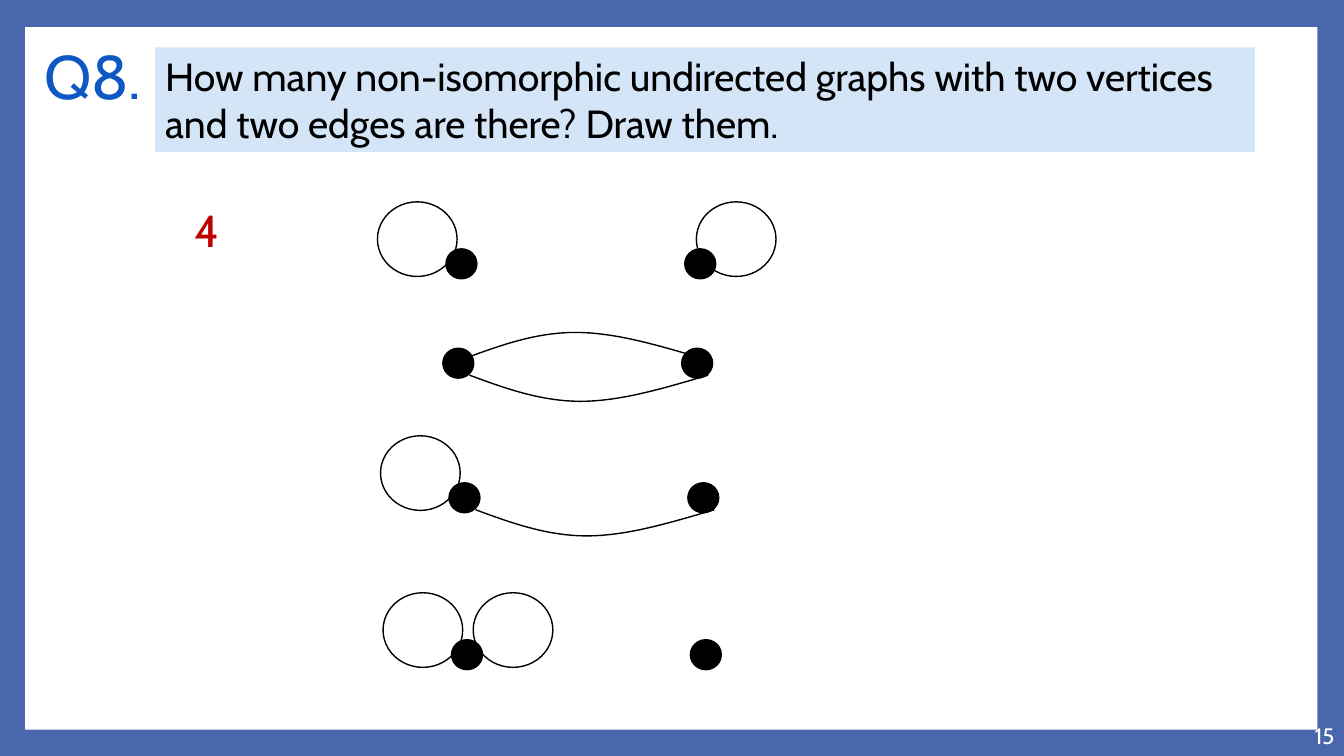
import pptx
import pptx.util
import pptx.dml.color
import pptx.enum.shapes
import pptx.enum.text

Pt = pptx.util.Pt
RGBColor = pptx.dml.color.RGBColor
MSO_SHAPE = pptx.enum.shapes.MSO_SHAPE
PP_ALIGN = pptx.enum.text.PP_ALIGN
MSO_ANCHOR = pptx.enum.text.MSO_ANCHOR

FRAME_BLUE = RGBColor(0x4A, 0x66, 0xAC)
TITLE_BLUE = RGBColor(0x0E, 0x58, 0xC4)
QUESTION_BLUE = RGBColor(0xD4, 0xE5, 0xF7)
ANSWER_RED = RGBColor(0xC0, 0x00, 0x00)
WHITE = RGBColor(0xFF, 0xFF, 0xFF)
BLACK = RGBColor(0x00, 0x00, 0x00)

FONT = "Cabin"
VERTEX_SIZE = (21.6, 20.9)
VERTEX_GAP = 170.6
LOOP_SIZE = (56.9, 53.3)
LOOP_RISE = 33.8
EDGE_BULGE = 18.7
CURVE_STEPS = 16


def style(shape, fill=None, line=None, weight=1):
    shape.shadow.inherit = False
    if fill is None:
        shape.fill.background()
    else:
        shape.fill.solid()
        shape.fill.fore_color.rgb = fill
    if line is None:
        shape.line.fill.background()
    else:
        shape.line.color.rgb = line
        shape.line.width = Pt(weight)


def add_preset(slide, kind, box, **look):
    shape = slide.shapes.add_shape(kind, *map(Pt, box))
    style(shape, **look)
    return shape


def write(shape, text, size, color, align=PP_ALIGN.LEFT, anchor=MSO_ANCHOR.TOP):
    frame = shape.text_frame
    frame.text = text
    frame.word_wrap = True
    frame.vertical_anchor = anchor
    paragraph = frame.paragraphs[0]
    paragraph.alignment = align
    font = paragraph.runs[0].font
    font.name, font.size, font.color.rgb = FONT, Pt(size), color
    return paragraph


def add_label(slide, box, text, size, color, **layout):
    write(slide.shapes.add_textbox(*map(Pt, box)), text, size, color, **layout)


def add_frame(slide, box):
    slide.background.fill.solid()
    slide.background.fill.fore_color.rgb = FRAME_BLUE
    add_preset(slide, MSO_SHAPE.RECTANGLE, box, fill=WHITE)


def add_question(slide, box, number, question):
    left, top, width, height = box
    add_label(slide, (left - 86.4, top - 15.8, 86.4, 70.6), number, 44, TITLE_BLUE,
              anchor=MSO_ANCHOR.MIDDLE)
    panel = add_preset(slide, MSO_SHAPE.RECTANGLE, box, fill=QUESTION_BLUE)
    write(panel, question, 28, BLACK).space_after = Pt(6)


def bezier(p0, p1, p2, p3, t):
    return tuple((1 - t) ** 3 * a + 3 * (1 - t) ** 2 * t * b + 3 * (1 - t) * t ** 2 * c + t ** 3 * d
                 for a, b, c, d in zip(p0, p1, p2, p3))


def add_edge(slide, left, top, bulge):
    start, middle, end = (0, 0), (79.4, bulge), (VERTEX_GAP, 0)
    halves = [(start, (25.2, bulge / 2), (51.1, bulge), middle),
              (middle, (108, bulge), (139, bulge / 2), end)]
    points = [bezier(*half, step / CURVE_STEPS)
              for half in halves for step in range(1, CURVE_STEPS + 1)]
    builder = slide.shapes.build_freeform(Pt(left), Pt(top))
    builder.add_line_segments([(Pt(left + x), Pt(top + y)) for x, y in points], close=False)
    style(builder.convert_to_shape(), line=BLACK)


def add_graph(slide, left, top, loops=(), edges=()):
    for offset in loops:
        add_preset(slide, MSO_SHAPE.OVAL, (left + offset, top - LOOP_RISE, *LOOP_SIZE), line=BLACK)
    for dx, dy, bulge in edges:
        add_edge(slide, left + dx, top + dy, bulge)
    for vertex_left in (left, left + VERTEX_GAP):
        add_preset(slide, MSO_SHAPE.OVAL, (vertex_left, top, *VERTEX_SIZE),
                   fill=BLACK, line=BLACK, weight=1.5)


def add_answer(slide, box):
    left, top, width, height = box
    add_label(slide, (left, top, 60.5, 46.1), "4", 32, ANSWER_RED, align=PP_ALIGN.CENTER)
    left_loop, right_loop = -49.2, 15.2
    far_loop = VERTEX_GAP + 8
    upper_edge = (15.1, 7.2, -EDGE_BULGE)
    lower_edge = (18.7, 19, EDGE_BULGE)
    graphs = [
        (201.4, 36.9, (left_loop, far_loop), ()),
        (199.2, 107.9, (), (upper_edge, lower_edge)),
        (203.6, 204, (left_loop,), (lower_edge,)),
        (205.4, 316.1, (left_loop, right_loop), ()),
    ]
    for dx, dy, loops, edges in graphs:
        add_graph(slide, left + dx, top + dy, loops, edges)


def main():
    deck = pptx.Presentation()
    deck.slide_width, deck.slide_height = Pt(960), Pt(540)
    slide = deck.slides.add_slide(deck.slide_layouts[6])
    add_frame(slide, (18, 19.4, 923, 501.8))
    add_question(slide, (110.9, 33.8, 785.5, 74.9), "Q8.",
                 "How many non-isomorphic undirected graphs with two vertices and two edges "
                 "are there? Draw them.")
    add_answer(slide, (117.4, 141.1, 440, 340))
    add_label(slide, (825.8, 511.2, 134.6, 28.8), "15", 16, WHITE,
              align=PP_ALIGN.RIGHT, anchor=MSO_ANCHOR.MIDDLE)
    deck.save("out.pptx")


if __name__ == "__main__":
    main()
